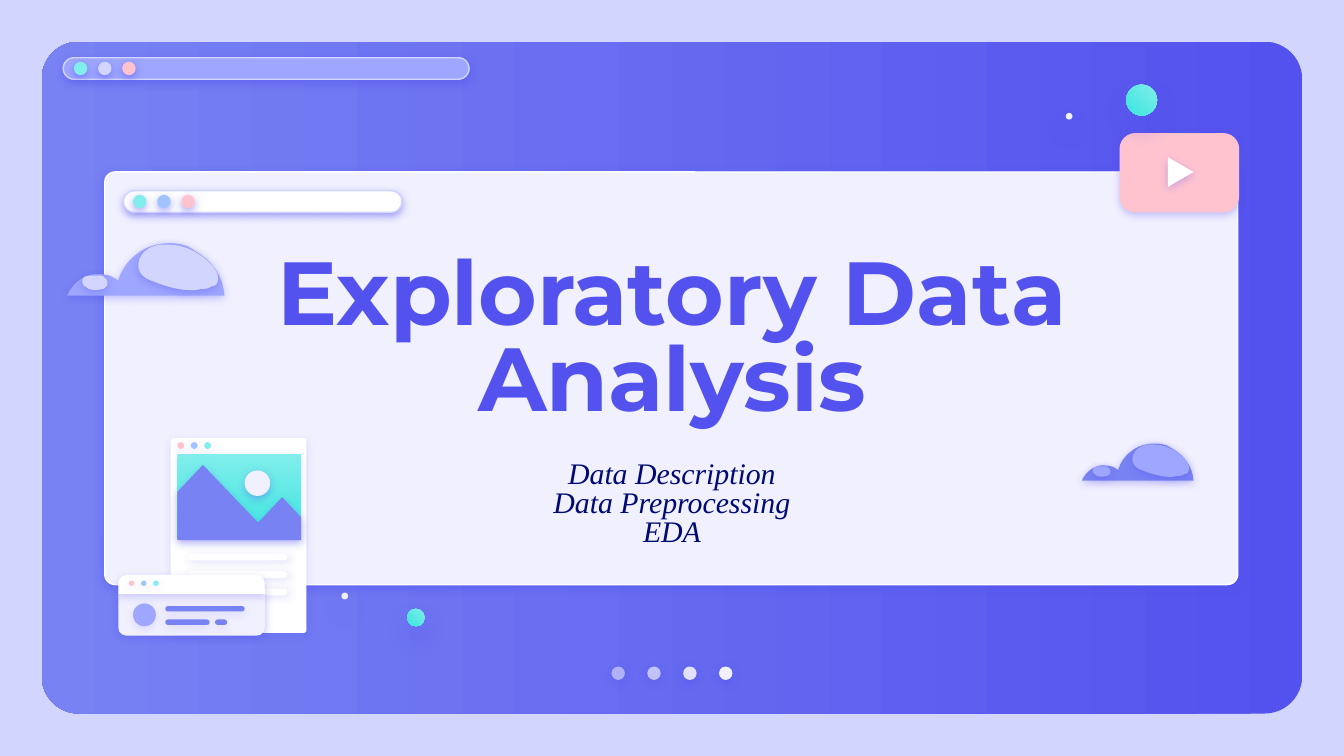
import lxml.etree
import pptx
import pptx.dml.color
import pptx.enum.shapes
import pptx.enum.text
import pptx.oxml.ns
import pptx.util

Inches = pptx.util.Inches
Pt = pptx.util.Pt
qn = pptx.oxml.ns.qn
SHAPES = pptx.enum.shapes.MSO_SHAPE

INDIGO, BLUE, PERIWINKLE, LAVENDER = "5352EE", "7882F3", "9EA6FF", "D2D6FF"
PALE, WHITE, PINK, SKY, MINT = "F1F0FF", "FFFFFF", "FFC3D0", "A1C3FF", "81EEEB"
NAVY, TEAL = "000A74", "3AE4DF"

# Shadows: opacity %, blur pt, distance pt, direction in degrees
STRONG, MEDIUM, SOFT = (50, 4.5, 1.5, 90), (34, 4.5, 1.5, 90), (14, 4.5, 1.5, 90)
CLOUD, HEADER, SLANTED, FLOATING = (31, 4.5, 1.5, 90), (24, 4.5, 1.5, 90), (18, 4.5, 1.5, 39), (38, 12.4, 6.8, 90)

# Cubic outlines: a start point, then two controls and an end for each curve
CLOUD_BODY = [
    (1.67, 2.2), (1.66, 2.05), (1.57, 1.93), (1.44, 1.86), (1.39, 1.82), (1.32, 1.81), (1.26, 1.81),
    (1.17, 1.81), (1.08, 1.84), (1.02, 1.89), (0.96, 1.93), (0.9, 2.01), (0.88, 2.09),
    (0.84, 2.05), (0.78, 2.04), (0.73, 2.04), (0.71, 2.04), (0.68, 2.04), (0.66, 2.05),
    (0.59, 2.07), (0.53, 2.13), (0.5, 2.2)]
CLOUD_LARGE_GLOW = [
    (1.25, 1.82), (1.23, 1.82), (1.21, 1.82), (1.19, 1.82), (1.14, 1.83), (1.09, 1.85), (1.06, 1.89),
    (1.03, 1.93), (1.02, 1.98), (1.04, 2.02), (1.06, 2.06), (1.1, 2.08), (1.13, 2.09),
    (1.23, 2.13), (1.33, 2.16), (1.43, 2.16), (1.46, 2.16), (1.49, 2.15), (1.51, 2.15),
    (1.54, 2.15), (1.56, 2.14), (1.58, 2.13), (1.6, 2.13), (1.62, 2.11), (1.62, 2.09),
    (1.63, 2.05), (1.61, 2.02), (1.59, 1.99), (1.51, 1.89), (1.38, 1.82), (1.25, 1.82)]
CLOUD_SMALL_GLOW = [
    (0.71, 2.05), (0.68, 2.05), (0.63, 2.05), (0.62, 2.07), (0.61, 2.08), (0.61, 2.1), (0.62, 2.12),
    (0.63, 2.13), (0.65, 2.14), (0.66, 2.15), (0.69, 2.16), (0.73, 2.16), (0.76, 2.15),
    (0.78, 2.15), (0.79, 2.13), (0.8, 2.12), (0.8, 2.1), (0.8, 2.08), (0.78, 2.07),
    (0.77, 2.05), (0.75, 2.05), (0.71, 2.05)]


def rgb(hex_colour):
    return pptx.dml.color.RGBColor.from_string(hex_colour)


def flatten(outline, steps=10):
    """Turn a cubic outline into closely spaced points."""
    points = [outline[0]]
    for i in range(0, len(outline) - 1, 3):
        curve = outline[i:i + 4]
        for step in range(1, steps + 1):
            t = step / steps
            weights = ((1 - t) ** 3, 3 * t * (1 - t) ** 2, 3 * t * t * (1 - t), t ** 3)
            points.append(tuple(sum(w * p[axis] for w, p in zip(weights, curve)) for axis in (0, 1)))
    return points


class Scene:
    def __init__(self, slide, title_font, subtitle_font):
        self.slide = slide
        self.title_font = title_font
        self.subtitle_font = subtitle_font

    def paint(self, shape, fill, shadow=None, line=None, opacity=100):
        """Fill is a hex colour, or (first, last, clockwise angle) for a gradient."""
        if isinstance(fill, str):
            shape.fill.solid()
            shape.fill.fore_color.rgb = rgb(fill)
            if opacity < 100:
                colour = shape._element.spPr.find(qn("a:solidFill"))[0]
                lxml.etree.SubElement(colour, qn("a:alpha"), val=str(opacity * 1000))
        else:
            first, last, angle = fill
            shape.fill.gradient()
            shape.fill.gradient_angle = 360 - angle
            for stop, colour in zip(shape.fill.gradient_stops, (first, last)):
                stop.color.rgb = rgb(colour)
        if line:
            shape.line.color.rgb = rgb(line)
            shape.line.width = Pt(0.75)
        else:
            shape.line.fill.background()
        shape.shadow.inherit = False
        if shadow:
            strength, blur, distance, direction = shadow
            effects = shape._element.spPr.find(qn("a:effectLst"))
            outer = lxml.etree.SubElement(
                effects, qn("a:outerShdw"), blurRad=str(Pt(blur)), dist=str(Pt(distance)),
                dir=str(direction * 60000), algn="bl", rotWithShape="0")
            colour = lxml.etree.SubElement(outer, qn("a:srgbClr"), val=INDIGO)
            lxml.etree.SubElement(colour, qn("a:alpha"), val=str(strength * 1000))

    def preset(self, kind, box, fill, adjust=(), **look):
        shape = self.slide.shapes.add_shape(kind, *map(Inches, box))
        for i, value in enumerate(adjust):
            shape.adjustments[i] = value
        self.paint(shape, fill, **look)

    def panel(self, box, radius, fill, **look):
        self.preset(SHAPES.ROUNDED_RECTANGLE, box, fill, (radius,), **look)

    def dot(self, left, top, size, fill, shadow, opacity=100):
        self.preset(SHAPES.OVAL, (left, top, size, size), fill, shadow=shadow, opacity=opacity)

    def dot_row(self, left, top, size, pitch, colours, shadow):
        for i, colour in enumerate(colours):
            self.dot(left + i * pitch, top, size, colour, shadow)

    def polygon(self, points, fill, shadow):
        corners = [(Inches(x), Inches(y)) for x, y in points]
        builder = self.slide.shapes.build_freeform(*corners[0], scale=1.0)
        builder.add_line_segments(corners[1:], close=True)
        self.paint(builder.convert_to_shape(), fill, shadow)

    def cloud(self, left, top, scale, body, glow):
        for outline, colour in ((CLOUD_BODY, body), (CLOUD_LARGE_GLOW, glow), (CLOUD_SMALL_GLOW, glow)):
            points = [(left + (x - 0.5) * scale, top + (y - 1.81) * scale) for x, y in flatten(outline)]
            self.polygon(points, colour, CLOUD)

    def heading(self, box, title, topics):
        frame = self.slide.shapes.add_textbox(*map(Inches, box)).text_frame
        frame.word_wrap = True
        frame.vertical_anchor = pptx.enum.text.MSO_ANCHOR.MIDDLE
        frame.margin_left = frame.margin_right = frame.margin_top = frame.margin_bottom = Inches(0.1)
        self.line(frame.paragraphs[0], title, self.title_font, 48, INDIGO, bold=True)
        for i, topic in enumerate(topics):
            paragraph = frame.add_paragraph()
            paragraph.space_before = Pt(0 if i else 17.5)
            self.line(paragraph, topic, self.subtitle_font, 16, NAVY, italic=True)

    def line(self, paragraph, text, font, size, colour, bold=False, italic=False):
        paragraph.alignment = pptx.enum.text.PP_ALIGN.CENTER
        paragraph.line_spacing = 0.8
        run = paragraph.add_run()
        run.text = text
        run.font.name, run.font.size = font, Pt(size)
        run.font.bold, run.font.italic = bold, italic
        run.font.color.rgb = rgb(colour)


def main():
    deck = pptx.Presentation()
    deck.slide_width = Inches(10)
    deck.slide_height = deck.slide_width * 9 // 16
    slide = deck.slides.add_slide(deck.slide_layouts[6])
    slide.background.fill.solid()
    slide.background.fill.fore_color.rgb = rgb(LAVENDER)
    scene = Scene(slide, "Montserrat", "Times New Roman")

    # Browser frame and page dots
    scene.panel((0.31, 0.31, 9.38, 5), 0.056, (INDIGO, BLUE, 180))
    scene.panel((0.47, 0.43, 3.02, 0.16), 0.5, PERIWINKLE, line=LAVENDER, shadow=STRONG)
    scene.dot_row(0.55, 0.46, 0.1, 0.18, (MINT, LAVENDER, PINK), STRONG)
    for i, opacity in enumerate((54, 67, 90, 100)):
        scene.dot(4.55 + i * 0.8 / 3, 4.96, 0.1, PALE, STRONG, opacity)

    scene.panel((0.78, 1.28, 8.43, 3.07), 0.025, PALE, line=WHITE, shadow=STRONG)
    scene.heading((1.65, 1.61, 6.7, 2.77), "Exploratory Data Analysis",
                  ("Data Description", "Data Preprocessing", "EDA"))

    scene.cloud(0.5, 1.81, 1, PERIWINKLE, LAVENDER)

    # Video button
    scene.panel((8.33, 0.99, 0.89, 0.59), 0.2, PINK, shadow=CLOUD)
    scene.polygon([(8.69, 1.17), (8.69, 1.39), (8.88, 1.28)], WHITE, CLOUD)

    scene.cloud(8.05, 3.3, 0.71, BLUE, PERIWINKLE)

    # Floating bubbles
    for left, top, size in ((8.38, 0.63, 0.23), (3.03, 4.53, 0.13)):
        scene.dot(left, top, size, (MINT, TEAL, 135), FLOATING)
    for left, top in ((7.93, 0.84), (2.54, 4.41)):
        scene.dot(left, top, 0.05, PALE, FLOATING)

    # Photo page
    scene.panel((1.27, 3.26, 1.01, 1.45), 0.02, WHITE, shadow=SOFT)
    for i in range(3):
        scene.panel((1.4, 4.12 + i * 0.13, 0.74, 0.05), 0.5, WHITE, shadow=SLANTED)
    scene.dot_row(1.32, 3.29, 0.05, 0.1, (PINK, SKY, MINT), SOFT)
    scene.preset(SHAPES.RECTANGLE, (1.32, 3.38, 0.92, 0.63), (MINT, TEAL, 90), shadow=SOFT)
    scene.polygon([(1.51, 3.46), (1.32, 3.66), (1.32, 4.02), (2.24, 4.02), (2.24, 3.85),
                   (2.1, 3.7), (1.92, 3.89)], BLUE, MEDIUM)
    scene.dot(1.82, 3.5, 0.19, PALE, MEDIUM)

    # Profile window
    scene.preset(SHAPES.ROUND_2_SAME_RECTANGLE, (0.88, 4.41, 1.09, 0.32), PALE, (0, 0.19), shadow=MEDIUM)
    scene.preset(SHAPES.ROUND_2_SAME_RECTANGLE, (0.88, 4.28, 1.09, 0.14), WHITE, (0.43, 0), shadow=HEADER)
    scene.dot_row(0.96, 4.32, 0.04, 0.09, (PINK, SKY, MINT), SOFT)
    scene.dot(0.99, 4.49, 0.17, PERIWINKLE, SOFT)
    for left, top, width in ((1.23, 4.51, 0.59), (1.23, 4.61, 0.33), (1.6, 4.61, 0.09)):
        scene.panel((left, top, width, 0.04), 0.5, BLUE, shadow=SOFT)

    # Address bar of the card
    scene.panel((0.92, 1.42, 2.07, 0.16), 0.5, WHITE, line=LAVENDER, shadow=STRONG)
    scene.dot_row(0.99, 1.45, 0.1, 0.18, (MINT, SKY, PINK), STRONG)

    deck.save("out.pptx")


if __name__ == "__main__":
    main()
